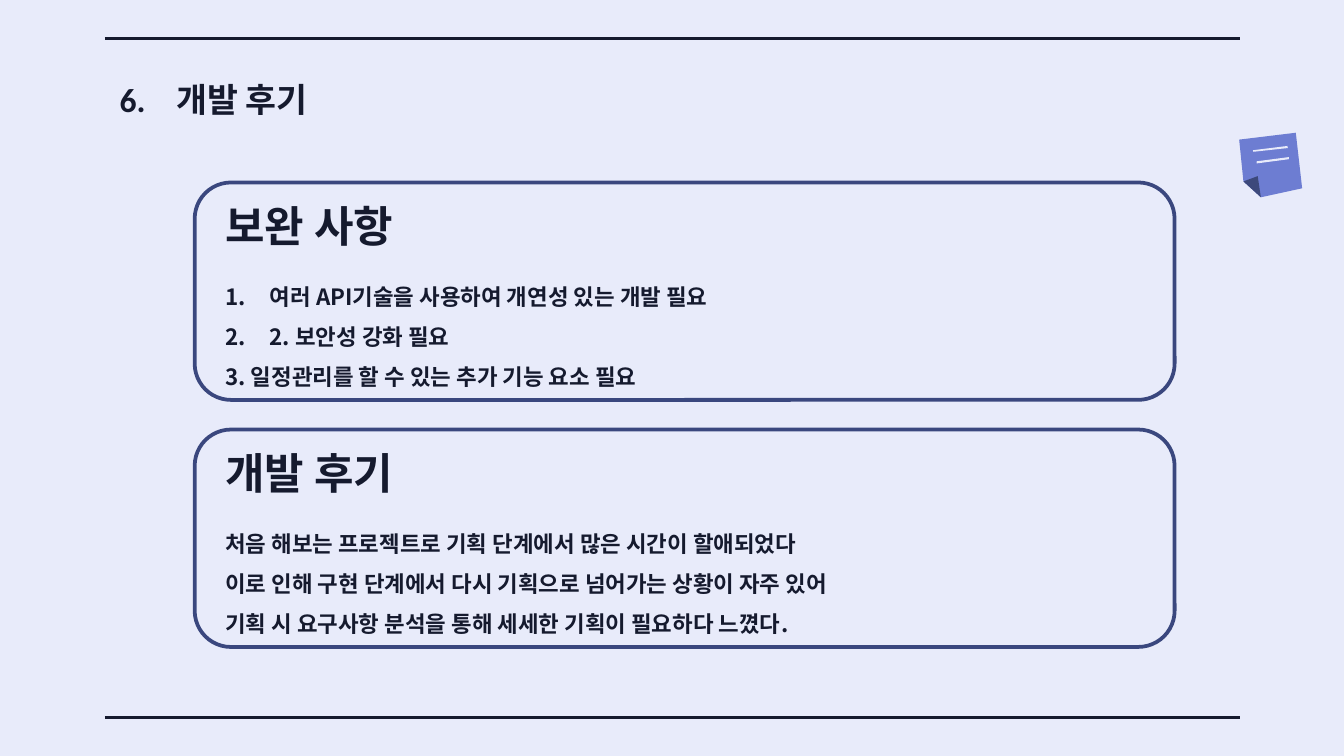
from lxml.etree import SubElement
from pptx import Presentation
from pptx.dml.color import RGBColor
from pptx.enum.shapes import MSO_CONNECTOR, MSO_SHAPE
from pptx.enum.text import MSO_ANCHOR, PP_ALIGN
from pptx.oxml.ns import qn
from pptx.util import Cm, Pt

# Content
INK, BORDER, PAPER = "151A2E", "3A477E", "E8EBFA"
LATIN, KOREAN = "Calibri", "Noto Sans CJK KR"
TITLE = "6.\t개발 후기"
CARDS = [
    {
        "heading": "보완 사항",
        "lines": [
            "여러 API기술을 사용하여 개연성 있는 개발 필요",
            "2. 보안성 강화 필요",
            "3. 일정관리를 할 수 있는 추가 기능 요소 필요",
        ],
        "numbered": 2,
    },
    {
        "heading": "개발 후기",
        "lines": [
            "처음 해보는 프로젝트로 기획 단계에서 많은 시간이 할애되었다",
            "이로 인해 구현 단계에서 다시 기획으로 넘어가는 상황이 자주 있어",
            "기획 시 요구사항 분석을 통해 세세한 기획이 필요하다 느꼈다.",
        ],
        "numbered": 0,
    },
]
# Sticky note: colour and corner points in centimetres
NOTE = [
    ("6D7DD2", [(24.49, 2.51), (24.61, 3.56), (23.83, 3.73), (23.5, 3.43), (23.42, 2.64)]),
    ("3D497B", [(23.77, 3.33), (23.83, 3.73), (23.5, 3.43)]),
    (PAPER, [(24.33, 2.76), (24.34, 2.8), (23.69, 2.87), (23.68, 2.84)]),
    (PAPER, [(24.36, 2.97), (24.36, 3.01), (23.75, 3.09), (23.75, 3.05)]),
]

# Layout in centimetres
RULE_LEFT, RULE_RIGHT, RULE_TOPS = 1.98, 23.44, (13.56, 0.73)
CARD_LEFT, CARD_TOP, CARD_WIDTH, CARD_HEIGHT = 3.68, 3.45, 18.52, 4.11
CARD_STEP = 4.67
TEXT_LEFT, TEXT_WIDTH = 3.58, 18.62


def color(value):
    return RGBColor.from_string(value)


def add_rule(page, top):
    rule = page.shapes.add_connector(
        MSO_CONNECTOR.STRAIGHT, Cm(RULE_LEFT), Cm(top), Cm(RULE_RIGHT), Cm(top))
    rule.line.color.rgb = color(INK)
    rule.line.width = Pt(1.5)
    SubElement(rule._element.spPr, qn("a:effectLst"))


def add_patch(page, fill, points):
    corners = [(Cm(x), Cm(y)) for x, y in points]
    builder = page.shapes.build_freeform(*corners[0])
    builder.add_line_segments(corners[1:], close=True)
    patch = builder.convert_to_shape()
    patch.fill.solid()
    patch.fill.fore_color.rgb = color(fill)
    patch.line.fill.background()
    patch.shadow.inherit = False


def add_text(page, place, lines, size, font, margin, indent,
             spacing=1.0, anchor=MSO_ANCHOR.TOP, numbered=0):
    box = page.shapes.add_textbox(*map(Cm, place))
    frame = box.text_frame
    frame.word_wrap = True
    frame.vertical_anchor = anchor
    frame.margin_left = frame.margin_right = Cm(0.25)
    frame.margin_top = frame.margin_bottom = Cm(0.25)
    frame.text = "\n".join(lines)
    for number, para in enumerate(frame.paragraphs):
        para.alignment = PP_ALIGN.LEFT
        para.line_spacing = spacing
        properties = para._p.get_or_add_pPr()
        properties.set("marL", str(Cm(margin)))
        properties.set("indent", str(Cm(indent)))
        if number < numbered:
            SubElement(properties, qn("a:buAutoNum"), type="arabicPeriod")
        for span in para.runs:
            span.font.size = Pt(size)
            span.font.bold = True
            span.font.name = font
            span.font.color.rgb = color(INK)
            SubElement(span._r.get_or_add_rPr(), qn("a:ea"), typeface=KOREAN)


def add_card(page, top, card):
    add_text(page, (TEXT_LEFT, top + 1.39, TEXT_WIDTH, 3.05), card["lines"], 12, KOREAN,
             1.27, -0.84, spacing=1.5, numbered=card["numbered"])
    add_text(page, (TEXT_LEFT, top, TEXT_WIDTH, 1.55), [card["heading"]], 23, LATIN,
             1.27, -0.84, anchor=MSO_ANCHOR.BOTTOM)
    frame = page.shapes.add_shape(
        MSO_SHAPE.ROUNDED_RECTANGLE,
        Cm(CARD_LEFT), Cm(top), Cm(CARD_WIDTH), Cm(CARD_HEIGHT))
    frame.fill.background()
    frame.line.color.rgb = color(BORDER)
    frame.line.width = Pt(2)
    frame.shadow.inherit = False


def main():
    deck = Presentation()
    deck.slide_width, deck.slide_height = Cm(25.4), Cm(14.29)
    page = deck.slides.add_slide(deck.slide_layouts[6])
    page.background.fill.solid()
    page.background.fill.fore_color.rgb = color(PAPER)

    # Rules and sticky note
    for top in RULE_TOPS:
        add_rule(page, top)
    for fill, points in NOTE:
        add_patch(page, fill, points)

    # Title and cards
    add_text(page, (2.01, 1.24, 21.41, 1.6), [TITLE], 18, LATIN, 1.07, -1.07)
    for position, card in enumerate(CARDS):
        add_card(page, CARD_TOP + position * CARD_STEP, card)

    deck.save("out.pptx")


if __name__ == "__main__":
    main()
